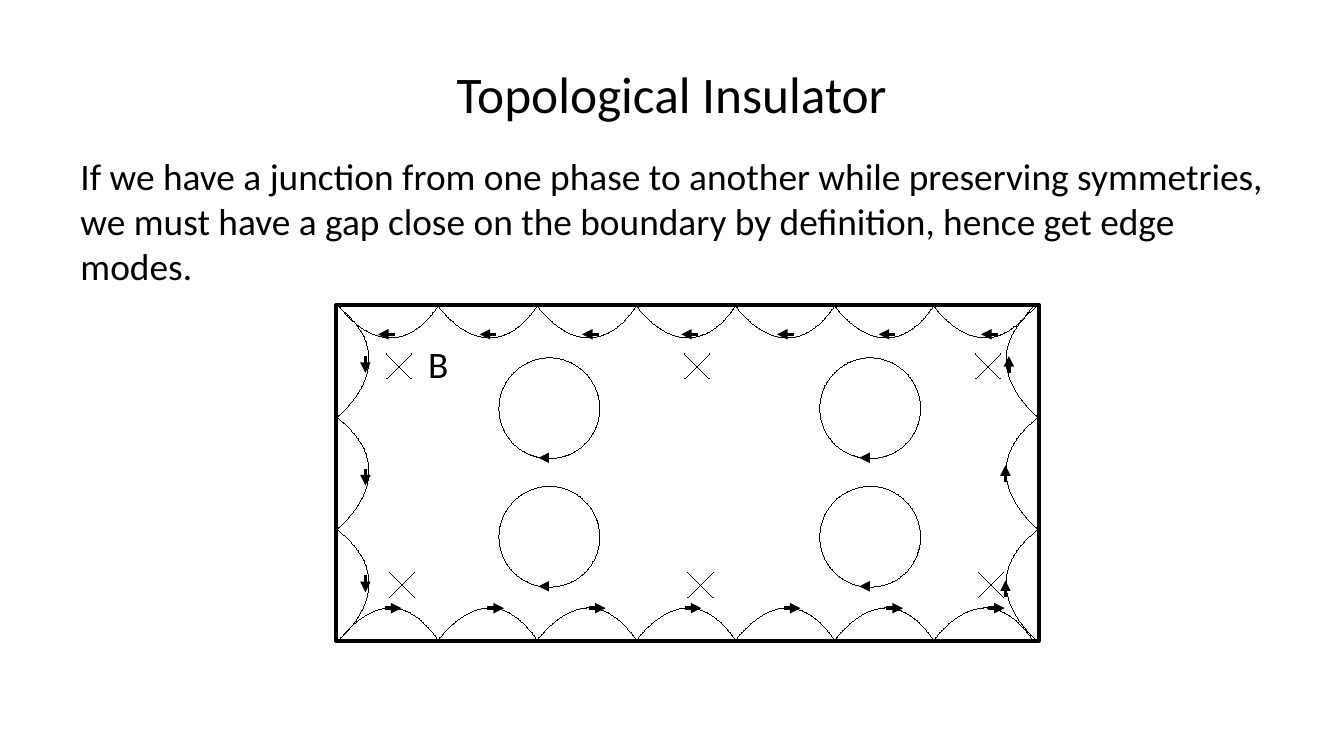
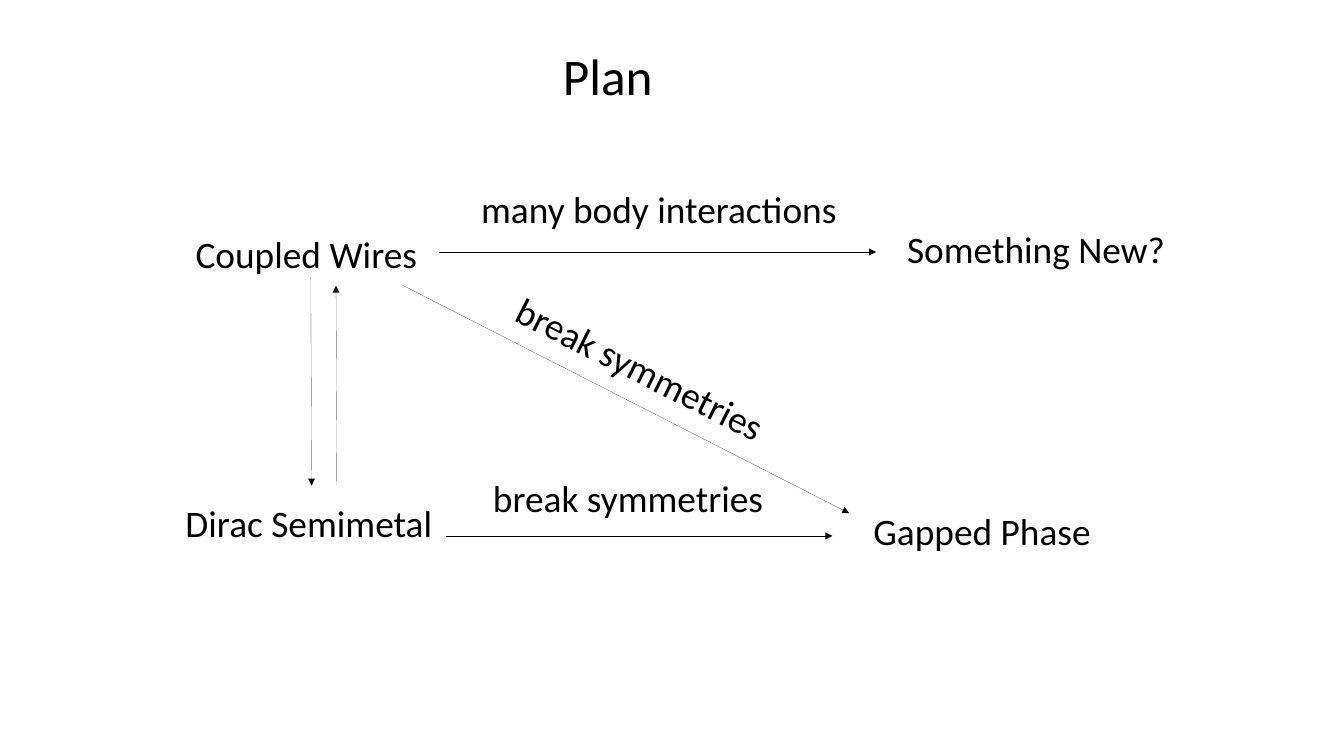
from dataclasses import dataclass

from lxml import etree
from pptx import Presentation
from pptx import util as u
from pptx.dml.color import RGBColor
from pptx.enum import shapes, text
from pptx.oxml import ns

COLUMNS, ROWS = 16, 9
SLIDE_WIDTH, SLIDE_HEIGHT = u.Inches(16), u.Inches(9)
TITLE_ONLY = 5


@dataclass(frozen=True)
class Theme:
    font: str = "Calibri"
    ink: RGBColor = RGBColor(0, 0, 0)
    paper: RGBColor = RGBColor(255, 255, 255)
    title_size: u.Pt = u.Pt(44)
    body_size: u.Pt = u.Pt(32)
    hairline: u.Pt = u.Pt(0.01)  # a width of 0 would fall back to the style's
    bold_line: u.Pt = u.Pt(3)


THEME = Theme()
LEFT, CENTER = text.PP_ALIGN.LEFT, text.PP_ALIGN.CENTER
TOP, MIDDLE = text.MSO_ANCHOR.TOP, text.MSO_ANCHOR.MIDDLE


def place(*lengths):
    """Turn alternating column and row counts into slide lengths."""
    units = (SLIDE_WIDTH / COLUMNS, SLIDE_HEIGHT / ROWS)
    return [u.Emu(round(length * units[i % 2])) for i, length in enumerate(lengths)]


# Text
def write(shape, words, size, align=LEFT, anchor=TOP):
    frame = shape.text_frame
    frame.word_wrap = True
    frame.auto_size = text.MSO_AUTO_SIZE.SHAPE_TO_FIT_TEXT
    frame.vertical_anchor = anchor
    paragraph = frame.paragraphs[0]
    paragraph.alignment = align
    run = paragraph.add_run()
    run.text = words
    run.font.name, run.font.size = THEME.font, size
    run.font.color.rgb = THEME.ink


def add_titled_slide(presentation, title, box, align=LEFT, anchor=TOP):
    slide = presentation.slides.add_slide(presentation.slide_layouts[TITLE_ONLY])
    shape = slide.shapes.title
    shape.left, shape.top, shape.width, shape.height = place(*box)
    write(shape, title, THEME.title_size, align, anchor)
    return slide


def add_label(slide, words, box, rotation=0):
    shape = slide.shapes.add_textbox(*place(*box))
    shape.rotation = rotation
    write(shape, words, THEME.body_size)


# Lines and outlines
def style_line(line, width):
    line.color.rgb = THEME.ink
    line.width = width


def add_line(slide, start, end, width=THEME.hairline, arrow=False):
    connector = slide.shapes.add_connector(
        shapes.MSO_CONNECTOR.STRAIGHT, *place(*start, *end))
    style_line(connector.line, width)
    properties = connector._element.spPr
    if arrow:
        outline = properties.find(ns.qn("a:ln"))
        etree.SubElement(outline, ns.qn("a:tailEnd"), type="triangle")
    etree.SubElement(properties, ns.qn("a:effectLst"))


def add_outline(slide, kind, box, width=THEME.hairline):
    shape = slide.shapes.add_shape(kind, *place(*box))
    shape.shadow.inherit = False
    shape.fill.solid()
    shape.fill.fore_color.rgb = THEME.paper
    style_line(shape.line, width)


def add_scallop(slide, start, control, end):
    """Draw a curve bent towards control, with a short tail along the edge."""
    # The curve is farthest from the edge a third of the way along
    peak = [(8 * s + 12 * c + 7 * e) / 27 for s, c, e in zip(start, control, end)]
    tail = [e + 0.1 * (s - e) for s, e in zip(start, end)]
    builder = slide.shapes.build_freeform(*place(*start), scale=1.0)
    builder.add_line_segments([place(*p) for p in (peak, end, tail)], close=False)
    shape = builder.convert_to_shape()
    shape.shadow.inherit = False
    shape.fill.background()
    style_line(shape.line, THEME.hairline)

    # Bend the two segments through the peak into one Bezier curve
    to_peak, to_end = list(shape._element.iter(ns.qn("a:lnTo")))[:2]
    curve = etree.Element(ns.qn("a:cubicBezTo"))
    for point in (control, end, end):
        x, y = place(*point)
        etree.SubElement(curve, ns.qn("a:pt"),
                         x=str(x - shape.left), y=str(y - shape.top))
    outline = to_peak.getparent()
    outline.replace(to_peak, curve)
    outline.remove(to_end)


# Parts of the insulator diagram
def add_cross(slide, left, top, size=0.3):
    add_line(slide, (left + size, top), (left, top + size))
    add_line(slide, (left + size, top + size), (left, top))


def add_orbit(slide, left, top, size=1.2):
    add_outline(slide, shapes.MSO_SHAPE.OVAL, (left, top, size, size))
    bottom = top + size - 0.01
    add_line(slide, (left + 0.57, bottom), (left + 0.47, bottom),
             THEME.bold_line, arrow=True)


def add_edge_arrow(slide, x, y, dx=0, dy=0):
    add_line(slide, (x, y), (x + dx, y + dy), THEME.bold_line, arrow=True)


def add_edge_modes(slide, left, top, width, height):
    right, bottom = left + width, top + height
    lip, reach, arrow = 0.02, 0.87, 0.2

    # Top and bottom edges: seven scallops each, arrows mirrored
    pitch = 1.18
    top_arrows = (4.7, 5.91, 7.13, 8.31, 9.45, 10.66, 11.88)
    bottom_arrows = [16.46 - x for x in top_arrows]
    for edge, inward, starts, y in ((top, 1, top_arrows, top + 0.35),
                                    (bottom, -1, bottom_arrows, bottom - 0.39)):
        for i in range(7):
            x = left + 0.03 + i * pitch
            add_scallop(slide, (x + pitch, edge + inward * lip),
                        (x + pitch / 2, edge + inward * reach), (x, edge))
        for x in starts:
            add_edge_arrow(slide, x, y, dx=-inward * arrow)

    # Right and left edges: three scallops each, from the bottom up
    pitch = height / 3
    right_arrows = ((11.97, 7.11), (11.97, 5.74), (12.01, 4.44))
    left_arrows = [(left + 0.35, y) for y in (4.24, 5.58, 6.85)]
    for edge, inward, starts in ((right, -1, right_arrows), (left, 1, left_arrows)):
        for i in reversed(range(3)):
            y = top + 0.01 + i * pitch
            add_scallop(slide, (edge + inward * lip, y),
                        (edge + inward * reach, y + pitch / 2), (edge, y + pitch))
        for x, y in starts:
            add_edge_arrow(slide, x, y, dy=inward * arrow)


def build_insulator(presentation):
    slide = add_titled_slide(presentation, "Topological Insulator",
                             (0.8, 0.36, 14.4, 1.5), CENTER, MIDDLE)
    add_label(slide, "If we have a junction from one phase to another while "
              "preserving symmetries, we must have a gap close on the boundary "
              "by definition, hence get edge modes.", (0.86, 1.78, 14.52, 6.58))
    sample = (4, 3.63, 8.37, 4)
    add_outline(slide, shapes.MSO_SHAPE.RECTANGLE, sample, THEME.bold_line)

    # Magnetic field and closed orbits in the bulk
    for top, shift in ((4.21, 0), (6.81, 0.04)):
        for left in (4.6, 8.15, 11.61):
            add_cross(slide, left + shift, top)
    for left in (5.94, 9.76):
        for top in (4.26, 5.79):
            add_orbit(slide, left, top)
    add_label(slide, "B", (5, 4.01, 1.8, 0.63))
    add_edge_modes(slide, *sample)


def build_plan(presentation):
    slide = add_titled_slide(presentation, "Plan", (6.6, 0.47, 5.3, 0.83))

    # Phases and the steps between them
    for words, box, rotation in (
            ("Dirac Semimetal", (2.11, 5.91, 4.1, 1.16), 0),
            ("Coupled Wires", (2.23, 2.7, 4.1, 1.16), 0),
            ("break symmetries", (5.76, 4.19, 4.1, 1.16), 26.7),
            ("Gapped Phase", (10.3, 6, 4.1, 1.16), 0),
            ("break symmetries", (5.77, 5.61, 4.1, 1.16), 0),
            ("Something New?", (10.7, 2.64, 3.5, 1.16), 0),
            ("many body interactions", (5.63, 2.17, 4.5, 0.63), 0)):
        add_label(slide, words, box, rotation)

    # Arrows
    for start, end in (((3.7, 3.3), (3.71, 5.78)), ((4.01, 5.78), (4, 3.4)),
                       ((4.8, 3.4), (10.11, 6.11)), ((5.31, 6.38), (9.91, 6.38)),
                       ((5.23, 3), (10.43, 3))):
        add_line(slide, start, end, arrow=True)


def main():
    presentation = Presentation()
    presentation.slide_width, presentation.slide_height = SLIDE_WIDTH, SLIDE_HEIGHT
    build_insulator(presentation)
    build_plan(presentation)
    presentation.save("out.pptx")


if __name__ == "__main__":
    main()
